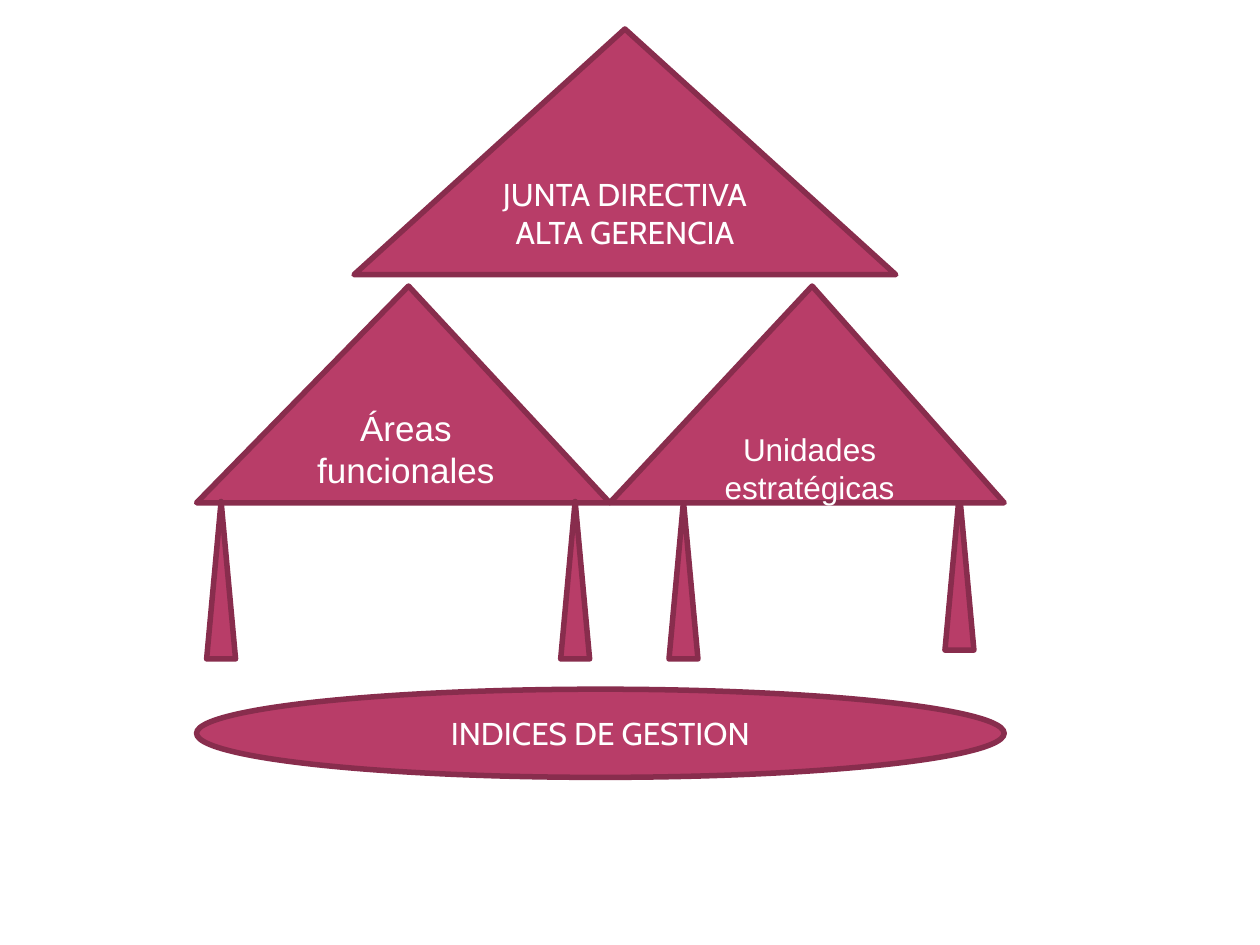
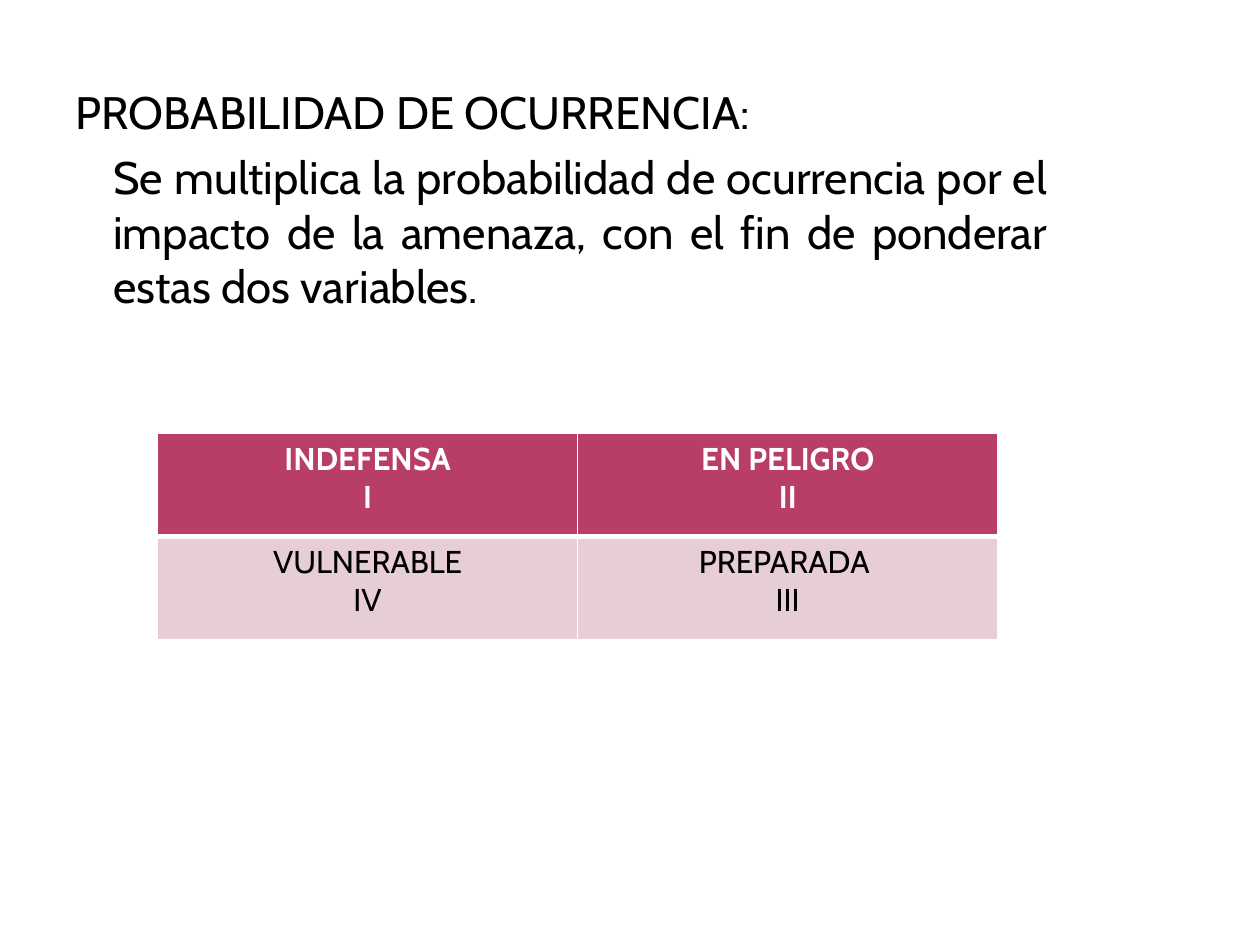
from lxml.etree import SubElement
from pptx import Presentation
from pptx.dml.color import RGBColor
from pptx.enum.shapes import MSO_SHAPE as Shape
from pptx.enum.text import MSO_ANCHOR as Anchor, PP_ALIGN as Align
from pptx.oxml.ns import qn
from pptx.util import Inches, Pt

ROSE, WINE, PALE = "B83D68", "882D4D", "E6CED4"
WHITE, BLACK = "FFFFFF", "000000"
SANS, ARIAL = "Cabin", "Arial"


def paint(color, value):
    """Set a colour format from a hex string."""
    color.rgb = RGBColor.from_string(value)


def write(para, text, size, color, font=SANS, bold=False, align=Align.CENTER):
    """Add one styled run to an aligned paragraph."""
    para.alignment = align
    run = para.add_run()
    run.text = text
    run.font.size = Pt(size)
    run.font.name = font
    run.font.bold = bold
    paint(run.font.color, color)


def fill_text(frame, lines, size, color, font=SANS, bold=False):
    """Write centred lines, one paragraph each."""
    for i, line in enumerate(lines):
        para = frame.add_paragraph() if i else frame.paragraphs[0]
        write(para, line, size, color, font, bold)


def add_form(slide, kind, box, lines=(), size=18, font=SANS, peak=None, top=0.05):
    """Draw a rose shape with a wine outline and centred text."""
    form = slide.shapes.add_shape(kind, *map(Inches, box))
    form.shadow.inherit = False
    form.fill.solid()
    paint(form.fill.fore_color, ROSE)
    form.line.width = Pt(3.15)
    paint(form.line.color, WINE)
    SubElement(form.line._get_or_add_ln(), qn("a:round"))
    if peak:
        form.adjustments[0] = peak
    frame = form.text_frame
    frame.word_wrap = True
    frame.vertical_anchor = Anchor.MIDDLE
    frame.margin_top = Inches(top)
    fill_text(frame, lines, size, WHITE, font)


def add_edge(cell, side, width):
    """Give one side of a cell a white border."""
    props = cell._tc.get_or_add_tcPr()
    edge = SubElement(props, qn(f"a:ln{side}"), w=str(Pt(width)))
    fill = SubElement(edge, qn("a:solidFill"))
    SubElement(fill, qn("a:srgbClr"), val=WHITE)


def add_grid(slide, box, rows):
    """Add a table with a rose head row and pale rows below."""
    table = slide.shapes.add_table(len(rows), len(rows[0]), *map(Inches, box)).table
    for r, row in enumerate(rows):
        head = r == 0
        for c, lines in enumerate(row):
            cell = table.cell(r, c)
            widths = {"L": 1, "R": 1, "T": 1 if head else 3, "B": 3 if head else 1}
            for side, width in widths.items():
                add_edge(cell, side, width)
            cell.fill.solid()
            paint(cell.fill.fore_color, ROSE if head else PALE)
            fill_text(cell.text_frame, lines, 18, WHITE if head else BLACK, bold=head)


def add_body(slide, box, title, text):
    """Add a heading line and an indented, justified paragraph."""
    frame = slide.shapes.add_textbox(*map(Inches, box)).text_frame
    frame.word_wrap = True
    write(frame.paragraphs[0], title, 26, BLACK, align=Align.LEFT)
    para = frame.add_paragraph()
    para.space_before = Pt(6)
    para._p.get_or_add_pPr().set("marL", str(Inches(0.3)))
    write(para, text, 26, BLACK, align=Align.JUSTIFY)


def build_temple(slide):
    """Draw the temple of roofs, pillars and base."""
    roof = Shape.ISOSCELES_TRIANGLE
    add_form(slide, roof, (2.81, 0.23, 4.3, 1.95), ["JUNTA DIRECTIVA ALTA GERENCIA"])
    add_form(slide, roof, (1.56, 2.27, 3.28, 1.72), ["Áreas funcionales"],
             20, ARIAL, 0.513)
    for left, top in ((1.64, 3.98), (4.45, 3.98), (5.31, 3.98), (7.5, 3.91)):
        add_form(slide, roof, (left, top, 0.23, 1.25))
    add_form(slide, Shape.OVAL, (1.56, 5.47, 6.41, 0.7), ["INDICES DE GESTION"])
    add_form(slide, roof, (4.84, 2.27, 3.13, 1.72), ["Unidades", "estratégicas"],
             18, ARIAL, 0.513, 0.35)


def build_odds(slide):
    """Lay out the probability text and its matrix."""
    add_body(slide, (0.5, 0.62, 7.92, 6.44), "PROBABILIDAD DE OCURRENCIA:",
             "Se multiplica la probabilidad de ocurrencia por el impacto de la "
             "amenaza, con el fin de ponderar estas dos variables.")
    add_grid(slide, (1.25, 3.44, 6.67, 1.64), [
        [("INDEFENSA", "I"), ("EN PELIGRO", "II")],
        [("VULNERABLE", "IV"), ("PREPARADA ", "III")],
    ])


def main():
    """Build and save the deck."""
    deck = Presentation()
    deck.slide_width, deck.slide_height = Inches(10), Inches(7.5)
    for build in (build_temple, build_odds):
        build(deck.slides.add_slide(deck.slide_layouts[6]))
    deck.save("out.pptx")


if __name__ == "__main__":
    main()
